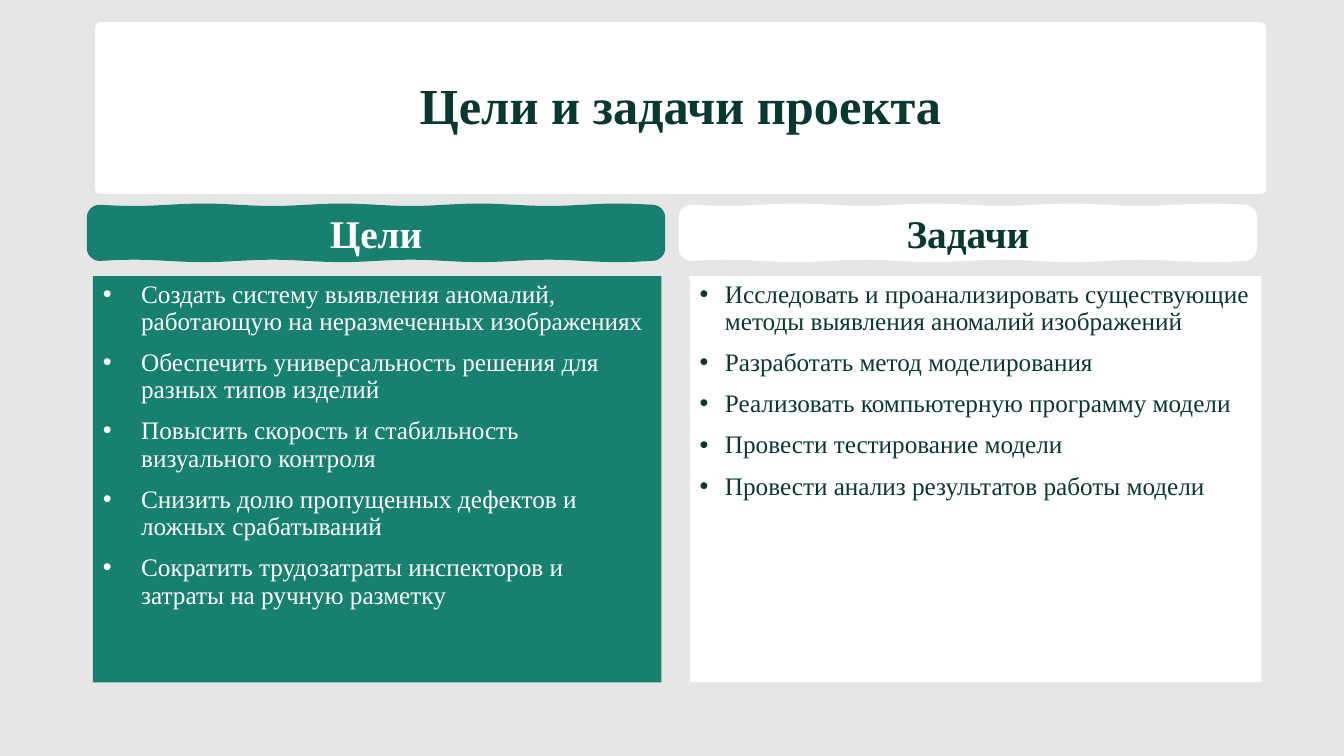
import math
from dataclasses import dataclass

from lxml import etree
from pptx import Presentation
from pptx.dml.color import RGBColor
from pptx.enum.text import MSO_ANCHOR, MSO_AUTO_SIZE, PP_ALIGN
from pptx.oxml.ns import qn
from pptx.shapes.base import BaseShape
from pptx.slide import Slide
from pptx.text.text import _Paragraph
from pptx.util import Inches, Pt

CENTER = PP_ALIGN.CENTER
LEFT = PP_ALIGN.LEFT
MIDDLE = MSO_ANCHOR.MIDDLE
TOP = MSO_ANCHOR.TOP
NO_AUTOFIT = MSO_AUTO_SIZE.NONE

COLORS = {"page": "E7E6E6", "white": "FFFFFF", "green": "18806E", "dark": "0A3830"}
FONT = "Times New Roman"
TWO_CONTENT_LAYOUT = 3
HEADING_TOP, HEADING_WIDTH, HEADING_HEIGHT = 2.08, 5.64, 0.46
LIST_TOP, LIST_HEIGHT = 2.74, 4.03
CORNER, WAVE = 0.08, 0.012


@dataclass
class Column:
    placeholder: int
    heading: str
    heading_left: float
    list_left: float
    list_width: float
    indent: float
    fill: str
    ink: str
    items: list[str]


COLUMNS = [
    Column(1, "Цели", 0.91, 0.92, 5.64, 0.38, "green", "white", [
        "Создать систему выявления аномалий, работающую на неразмеченных изображениях",
        "Обеспечить универсальность решения для разных типов изделий",
        "Повысить скорость и стабильность визуального контроля",
        "Снизить долю пропущенных дефектов и ложных срабатываний",
        "Сократить трудозатраты инспекторов и затраты на ручную разметку",
    ]),
    Column(2, "Задачи", 6.78, 6.84, 5.67, 0.25, "white", "dark", [
        "Исследовать и проанализировать существующие методы выявления аномалий изображений",
        "Разработать метод моделирования",
        "Реализовать компьютерную программу модели",
        "Провести тестирование модели",
        "Провести анализ результатов работы модели",
    ]),
]


def color(name: str) -> RGBColor:
    return RGBColor.from_string(COLORS[name])


def place(box: BaseShape, left: float, top: float, width: float, height: float) -> None:
    box.left, box.top = Inches(left), Inches(top)
    box.width, box.height = Inches(width), Inches(height)


def paint(box: BaseShape, fill: str) -> None:
    box.fill.solid()
    box.fill.fore_color.rgb = color(fill)


def outline(box: BaseShape, name: str) -> None:
    """Draw a thick outline with rounded joins."""
    box.line.color.rgb = color(name)
    box.line.width = Pt(7)
    etree.SubElement(box._element.spPr.find(qn("a:ln")), qn("a:round"))


def add_span(para: _Paragraph, text: str, size: int, ink: str, bold: bool) -> None:
    span = para.add_run()
    span.text = text
    span.font.name, span.font.size, span.font.bold = FONT, Pt(size), bold
    span.font.color.rgb = color(ink)


def add_caption(box: BaseShape, text: str, size: int, ink: str, spacing: float) -> None:
    frame = box.text_frame
    frame.word_wrap = True
    frame.auto_size = NO_AUTOFIT
    frame.vertical_anchor = MIDDLE
    para = frame.paragraphs[0]
    para.alignment, para.line_spacing = CENTER, spacing
    add_span(para, text, size, ink, True)


def add_bullet(para: _Paragraph, indent: float) -> None:
    properties = para._p.get_or_add_pPr()
    properties.set("marL", str(Inches(indent)))
    properties.set("indent", str(-Inches(indent)))
    etree.SubElement(properties, qn("a:buFont")).set("typeface", "Arial")
    etree.SubElement(properties, qn("a:buChar")).set("char", "•")


def wavy_points(left: float, top: float, width: float, height: float) -> list[tuple[int, int]]:
    """Trace a rounded rectangle clockwise, with waves on its long sides."""
    right, bottom = left + width, top + height
    centers = [
        (left + CORNER, top + CORNER), (right - CORNER, top + CORNER),
        (right - CORNER, bottom - CORNER), (left + CORNER, bottom - CORNER),
    ]
    points = []
    for side, (x, y) in enumerate(centers):
        for step in range(7):
            angle = math.pi * (1 + side / 2 + step / 12)
            points.append((x + CORNER * math.cos(angle), y + CORNER * math.sin(angle)))
        if side % 2 == 0:
            start_x, start_y = points[-1]
            run = (width - 2 * CORNER) * (1 - side)
            for step in range(1, 80):
                share = step / 80
                wave = WAVE * math.sin(8 * math.pi * share)
                points.append((start_x + run * share, start_y + wave))
    return [(Inches(x), Inches(y)) for x, y in points]


def draw_heading(page: Slide, column: Column) -> None:
    points = wavy_points(column.heading_left, HEADING_TOP, HEADING_WIDTH, HEADING_HEIGHT)
    builder = page.shapes.build_freeform(*points[0])
    builder.add_line_segments(points[1:], close=True)
    box = builder.convert_to_shape()
    box.shadow.inherit = False
    paint(box, column.fill)
    outline(box, column.fill)
    add_caption(box, column.heading, 28, column.ink, 1.0)


def draw_list(page: Slide, column: Column) -> None:
    box = page.placeholders[column.placeholder]
    place(box, column.list_left, LIST_TOP, column.list_width, LIST_HEIGHT)
    paint(box, column.fill)
    frame = box.text_frame
    frame.word_wrap = True
    frame.auto_size = NO_AUTOFIT
    frame.vertical_anchor = TOP
    for number, item in enumerate(column.items):
        para = frame.add_paragraph() if number else frame.paragraphs[0]
        add_bullet(para, column.indent)
        para.alignment, para.line_spacing = LEFT, 0.9
        para.space_before = Pt(10 if number else 0)
        add_span(para, item, 18, column.ink, False)


def main() -> None:
    deck = Presentation()
    deck.slide_width, deck.slide_height = Inches(13.33), Inches(7.5)
    page = deck.slides.add_slide(deck.slide_layouts[TWO_CONTENT_LAYOUT])
    page.background.fill.solid()
    page.background.fill.fore_color.rgb = color("page")

    # Title panel
    title = page.shapes.title
    place(title, 0.99, 0.27, 11.52, 1.61)
    paint(title, "white")
    outline(title, "white")
    add_caption(title, "Цели и задачи проекта", 36, "dark", 0.9)

    # Goals and tasks
    for column in COLUMNS:
        draw_list(page, column)
        draw_heading(page, column)

    deck.save("out.pptx")


if __name__ == "__main__":
    main()
